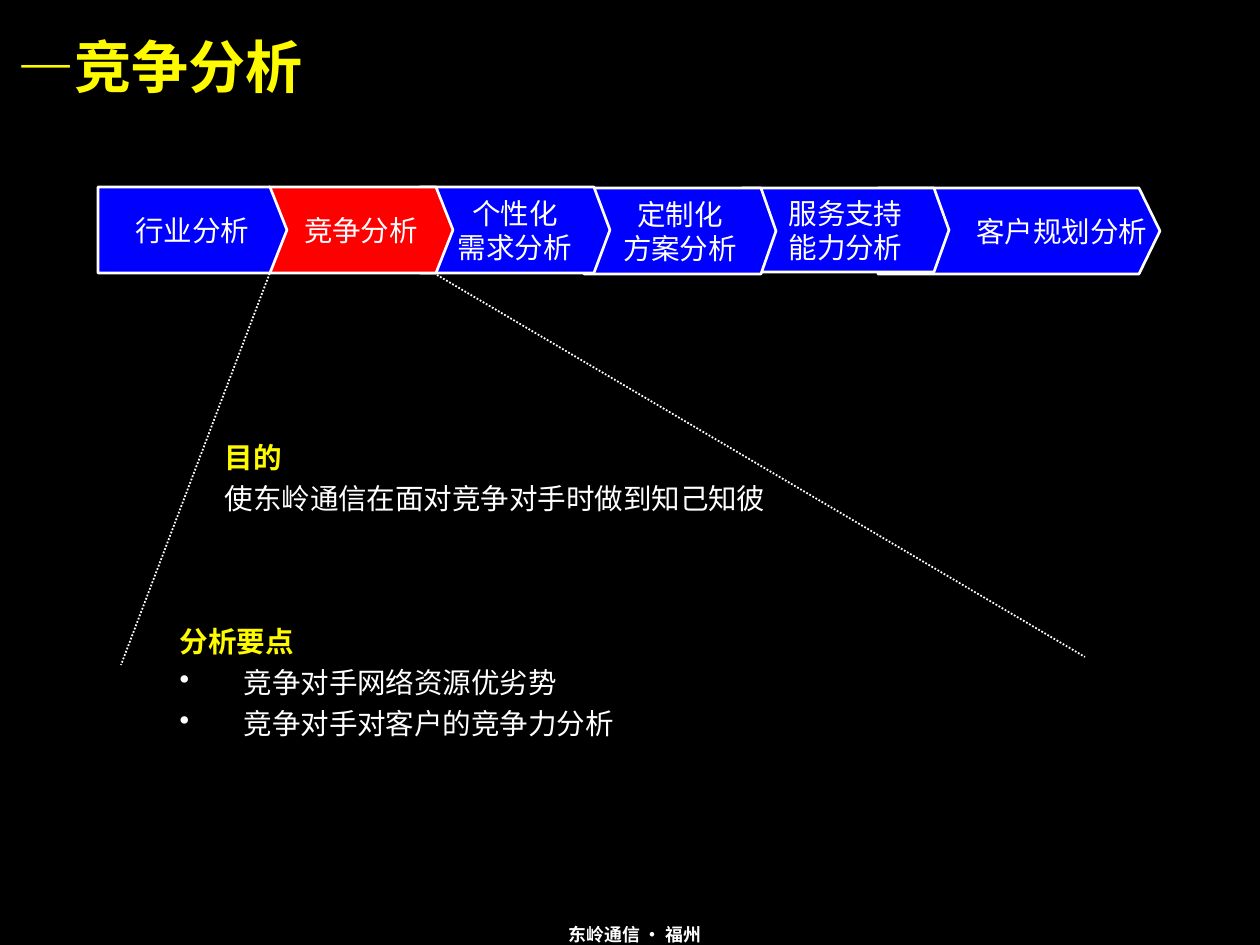
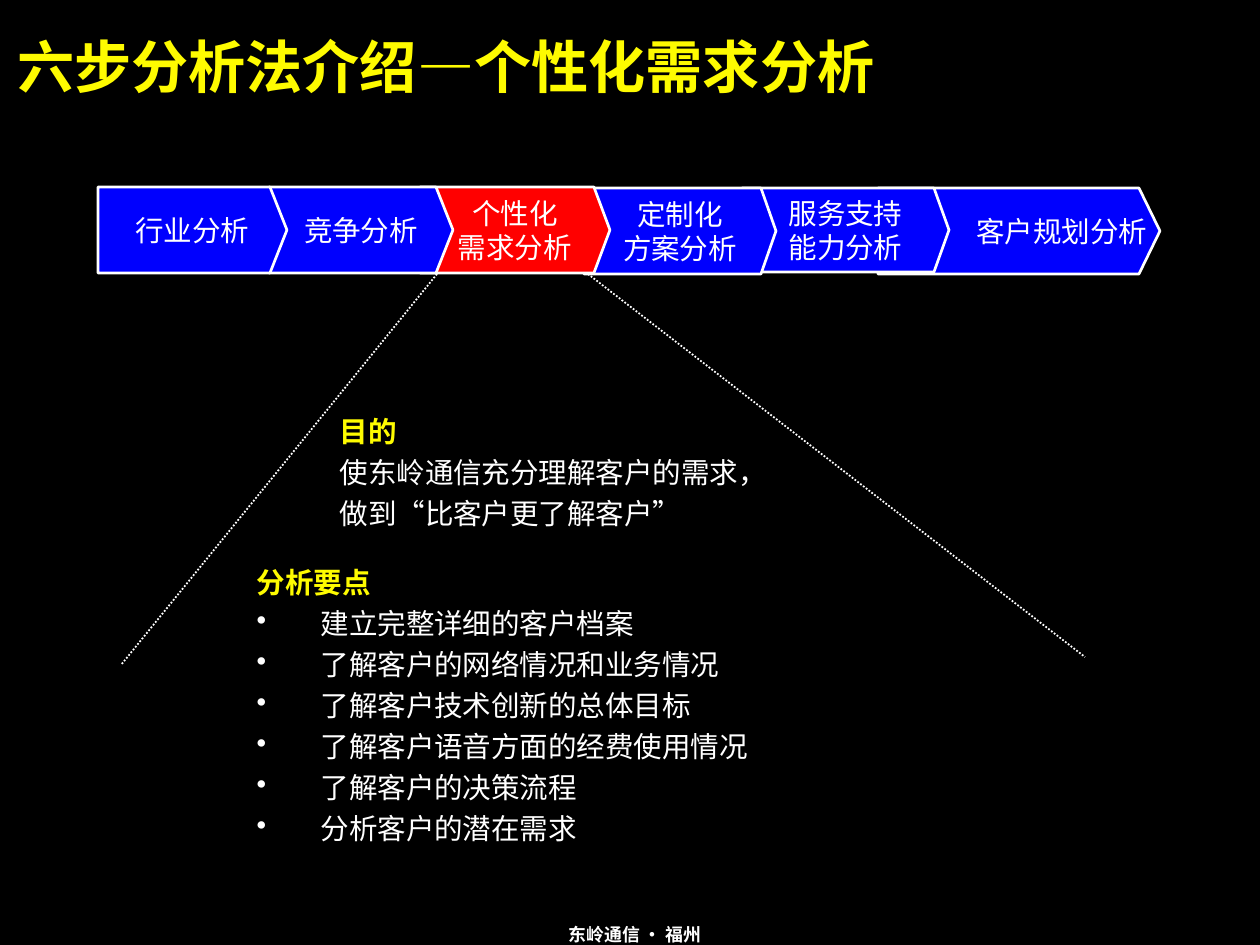
import pptx
import pptx.dml.color
import pptx.enum.dml
import pptx.enum.shapes
import pptx.enum.text
import pptx.oxml.ns
import pptx.util
from lxml import etree

PX = 7112  # EMU
COLORS = {"back": "000000", "accent": "FEFB00", "text": "FFFFFF",
          "step": "0000FE", "current": "FF0000"}
FONT = "Noto Sans CJK SC"
ALIGN = pptx.enum.text.PP_ALIGN
ANCHOR = pptx.enum.text.MSO_ANCHOR

TITLE = {"size": 32, "bold": True, "color": "accent", "latin": "Arial"}
HEADING = {"size": 16, "bold": True, "color": "accent", "leading": 23}
BODY = {"size": 16, "bold": False, "color": "text", "leading": 23}
STEP = {"size": 16, "bold": False, "color": "text", "leading": 19.2}
FOOTER = {"size": 10, "bold": True, "color": "text", "leading": 12}

LINE_HEIGHT, BOX_PADDING, BULLET_INDENT = 41, 13, 64

# label, left, shoulder, tip, top, bottom
STEPS = [
    ("行业分析", 98, 270, 287, 187, 273),
    ("竞争分析", 269, 436, 453, 187, 273),
    ("个性化\n需求分析", 420, 594, 610, 187, 273),
    ("定制化\n方案分析", 584, 761, 776, 188, 274),
    ("服务支持\n能力分析", 742, 934, 949, 188, 272),
    ("客户规划分析", 878, 1139, 1160, 188, 274),
]

SLIDES = [
    {"title": "—竞争分析", "current": 1,
     "rays": [(271, 270, 121, 665), (437, 275, 1085, 657)],
     "purpose": (212, 427, 594, ["使东岭通信在面对竞争对手时做到知己知彼"]),
     "points": (167, 611, 878, ["竞争对手网络资源优劣势",
                                "竞争对手对客户的竞争力分析"])},
    {"title": "六步分析法介绍—个性化需求分析", "current": 2,
     "rays": [(437, 274, 121, 665), (588, 274, 1085, 657)],
     "purpose": (327, 401, 567, ["使东岭通信充分理解客户的需求，",
                                 "做到“比客户更了解客户”"]),
     "points": (244, 552, 878, ["建立完整详细的客户档案",
                                "了解客户的网络情况和业务情况",
                                "了解客户技术创新的总体目标",
                                "了解客户语音方面的经费使用情况",
                                "了解客户的决策流程",
                                "分析客户的潜在需求"])},
]


def rgb(name):
    return pptx.dml.color.RGBColor.from_string(COLORS[name])


def add_child(parent, tag, **attributes):
    return etree.SubElement(parent, pptx.oxml.ns.qn(tag), attributes)


class Deck:
    def __init__(self):
        self.prs = pptx.Presentation()
        self.prs.slide_width, self.prs.slide_height = 1260 * PX, 945 * PX
        back = self.prs.slide_master.background.fill
        back.solid()
        back.fore_color.rgb = rgb("back")
        self.slide = None

    def new_slide(self, title):
        self.slide = self.prs.slides.add_slide(self.prs.slide_layouts[6])
        self.text_box((431, 917, 408, 27), [("东岭通信 · 福州", FOOTER)],
                      align=ALIGN.CENTER)
        heading = self.text_box((17, 32, 1213, 68), [(title, TITLE)],
                                anchor=ANCHOR.MIDDLE)
        for side in ("left", "right", "top", "bottom"):
            setattr(heading, f"margin_{side}", 0)

    def fill_text(self, frame, lines, align=ALIGN.LEFT):
        """Fill a text frame with (text, style) lines."""
        for index, (text, style) in enumerate(lines):
            paragraph = frame.add_paragraph() if index else frame.paragraphs[0]
            paragraph.alignment = align
            if "leading" in style:
                paragraph.line_spacing = pptx.util.Pt(style["leading"])
            run = paragraph.add_run()
            run.text = text
            values = {"size": pptx.util.Pt(style["size"]), "bold": style["bold"],
                      "name": style.get("latin", FONT)}
            for name, value in values.items():
                setattr(run.font, name, value)
            run.font.color.rgb = rgb(style["color"])
            add_child(run._r.get_or_add_rPr(), "a:ea", typeface=FONT)

    def text_box(self, box, lines, align=ALIGN.LEFT, anchor=ANCHOR.TOP):
        frame = self.slide.shapes.add_textbox(*(v * PX for v in box)).text_frame
        frame.word_wrap = True
        frame.vertical_anchor = anchor
        self.fill_text(frame, lines, align)
        return frame

    def section(self, heading, left, top, width, items, bulleted=False):
        height = BOX_PADDING + LINE_HEIGHT * (len(items) + 1)
        lines = [(heading, HEADING)] + [(item, BODY) for item in items]
        frame = self.text_box((left, top, width, height), lines)
        if bulleted:
            for paragraph in frame.paragraphs[1:]:
                properties = paragraph._p.get_or_add_pPr()
                properties.set("marL", str(BULLET_INDENT * PX))
                properties.set("indent", str(-BULLET_INDENT * PX))
                add_child(properties, "a:buChar", char="•")

    def step(self, label, left, shoulder, tip, top, bottom, color, align):
        outline = self.slide.shapes.build_freeform(left, top, scale=PX)
        outline.add_line_segments([(shoulder, top), (tip, (top + bottom) // 2),
                                   (shoulder, bottom), (left, bottom)], close=True)
        arrow = outline.convert_to_shape()
        arrow.shadow.inherit = False
        arrow.fill.solid()
        arrow.fill.fore_color.rgb = rgb(color)
        arrow.line.color.rgb = rgb("text")
        arrow.line.width = pptx.util.Pt(1.5)
        frame = arrow.text_frame
        frame.word_wrap = False
        frame.vertical_anchor = ANCHOR.MIDDLE
        self.fill_text(frame, [(line, STEP) for line in label.split("\n")], align)

    def chain(self, current):
        """Draw the steps from last to first, so that each tip lies on top."""
        last = len(STEPS) - 1
        for index in range(last, -1, -1):
            self.step(*STEPS[index],
                      color="current" if index == current else "step",
                      align=ALIGN.RIGHT if index == last else ALIGN.CENTER)

    def ray(self, *ends):
        ray = self.slide.shapes.add_connector(
            pptx.enum.shapes.MSO_CONNECTOR.STRAIGHT, *(v * PX for v in ends))
        ray.line.color.rgb = rgb("text")
        ray.line.width = pptx.util.Pt(1)
        ray.line.dash_style = pptx.enum.dml.MSO_LINE.ROUND_DOT
        add_child(ray._element.spPr, "a:effectLst")


def main():
    deck = Deck()
    for content in SLIDES:
        deck.new_slide(content["title"])
        deck.chain(content["current"])
        for ends in content["rays"]:
            deck.ray(*ends)
        deck.section("目的", *content["purpose"])
        deck.section("分析要点", *content["points"], bulleted=True)
    deck.prs.save("out.pptx")


if __name__ == "__main__":
    main()
